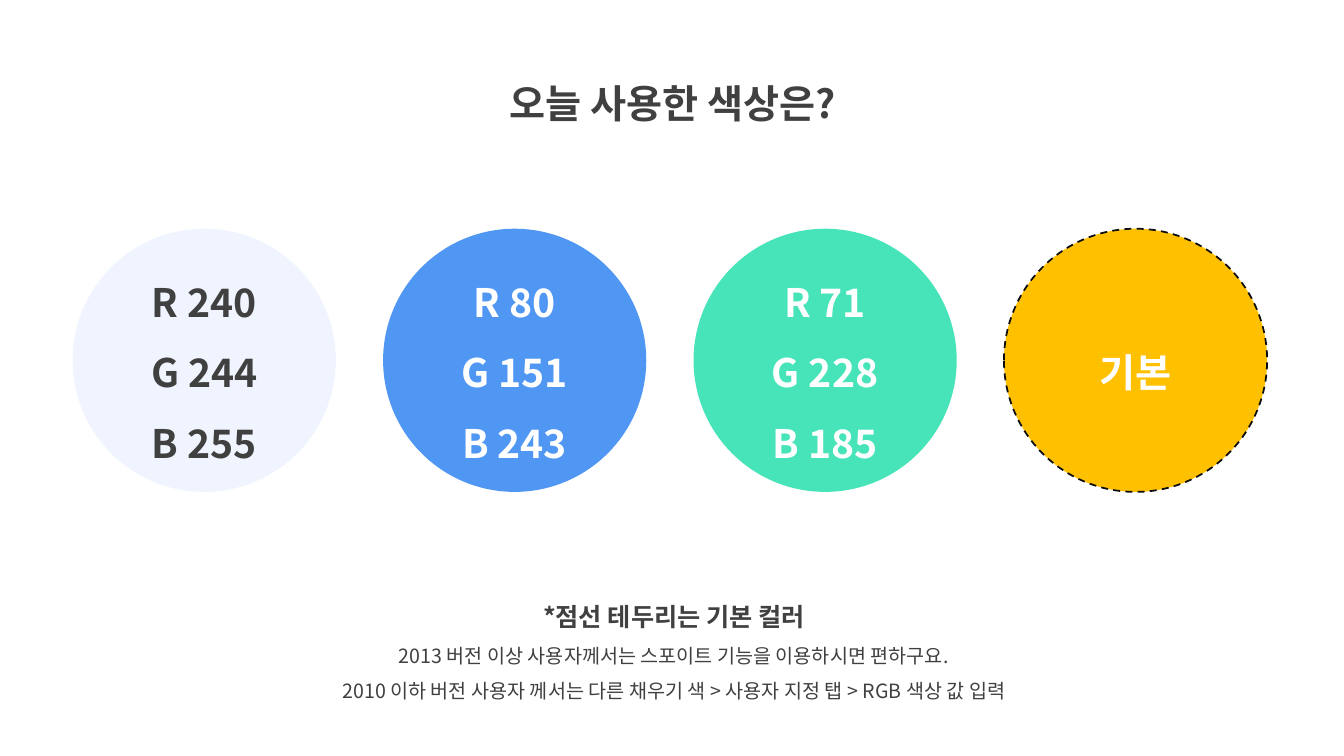
from lxml import etree
from pptx import Presentation
from pptx import util as u
from pptx.dml import color
from pptx.enum import dml, shapes, text
from pptx.oxml import ns

COLORS = {
    "ink": "404040", "white": "FFFFFF", "outline": "0D0D0D", "pale": "F0F4FF",
    "blue": "5097F3", "mint": "47E4B9", "amber": "FFC000",
}


class PaletteSlide:
    """Draws the elements of the colour palette slide in one shared style."""

    font_name = "Noto Sans CJK KR"
    line_spacing = 1.5

    def __init__(self, slide):
        self.slide = slide

    def rgb(self, name):
        return color.RGBColor.from_string(COLORS[name])

    def add_lines(self, frame, lines, ink):
        frame.word_wrap = True
        for index, (wording, size, bold) in enumerate(lines):
            paragraph = frame.paragraphs[0] if index == 0 else frame.add_paragraph()
            paragraph.alignment = text.PP_ALIGN.CENTER
            paragraph.line_spacing = self.line_spacing
            run = paragraph.add_run()
            run.text = wording
            style = {"name": self.font_name, "size": u.Pt(size), "bold": bold}
            for attribute, value in style.items():
                setattr(run.font, attribute, value)
            run.font.color.rgb = self.rgb(ink)
            east_asian = etree.SubElement(run._r.get_or_add_rPr(), ns.qn("a:ea"))
            east_asian.set("typeface", self.font_name)

    def caption(self, left, top, width, height, lines):
        box = self.slide.shapes.add_textbox(*map(u.Pt, (left, top, width, height)))
        self.add_lines(box.text_frame, lines, "ink")
        box.text_frame.auto_size = text.MSO_AUTO_SIZE.SHAPE_TO_FIT_TEXT

    def swatch(self, left, top, diameter, fill, ink, labels, dashed):
        circle = self.slide.shapes.add_shape(
            shapes.MSO_SHAPE.OVAL, *map(u.Pt, (left, top, diameter, diameter)))
        circle.shadow.inherit = False
        circle.fill.solid()
        circle.fill.fore_color.rgb = self.rgb(fill)
        if dashed:
            circle.line.color.rgb = self.rgb("outline")
            circle.line.width = u.Pt(1.25)
            circle.line.dash_style = dml.MSO_LINE.DASH
        else:
            circle.line.fill.background()
        circle.text_frame.vertical_anchor = text.MSO_ANCHOR.MIDDLE
        self.add_lines(circle.text_frame, [(label, 28, True) for label in labels], ink)


def main():
    deck = Presentation()
    deck.slide_width, deck.slide_height = u.Pt(960), u.Pt(540)
    palette = PaletteSlide(deck.slides.add_slide(deck.slide_layouts[6]))

    palette.caption(314, 36, 333.4, 51.8, [("오늘 사용한 색상은?", 28, True)])

    swatches = [
        ("pale", "ink", ["R 240", "G 244", "B 255"], False),
        ("blue", "white", ["R 80", "G 151", "B 243"], False),
        ("mint", "white", ["R 71", "G 228", "B 185"], False),
        ("amber", "white", ["기본"], True),
    ]
    first_left, pitch = 51.9, 221.75
    for column, swatch in enumerate(swatches):
        palette.swatch(first_left + column * pitch, 163.4, 188, *swatch)

    palette.caption(193.7, 415.4, 575.3, 90.7, [
        ("*점선 테두리는 기본 컬러", 18, True),
        ("2013 버전 이상 사용자께서는 스포이트 기능을 이용하시면 편하구요.", 14, False),
        ("2010 이하 버전 사용자 께서는 다른 채우기 색 > 사용자 지정 탭 > RGB 색상 값 입력", 14, False),
    ])

    deck.save("out.pptx")


if __name__ == "__main__":
    main()
